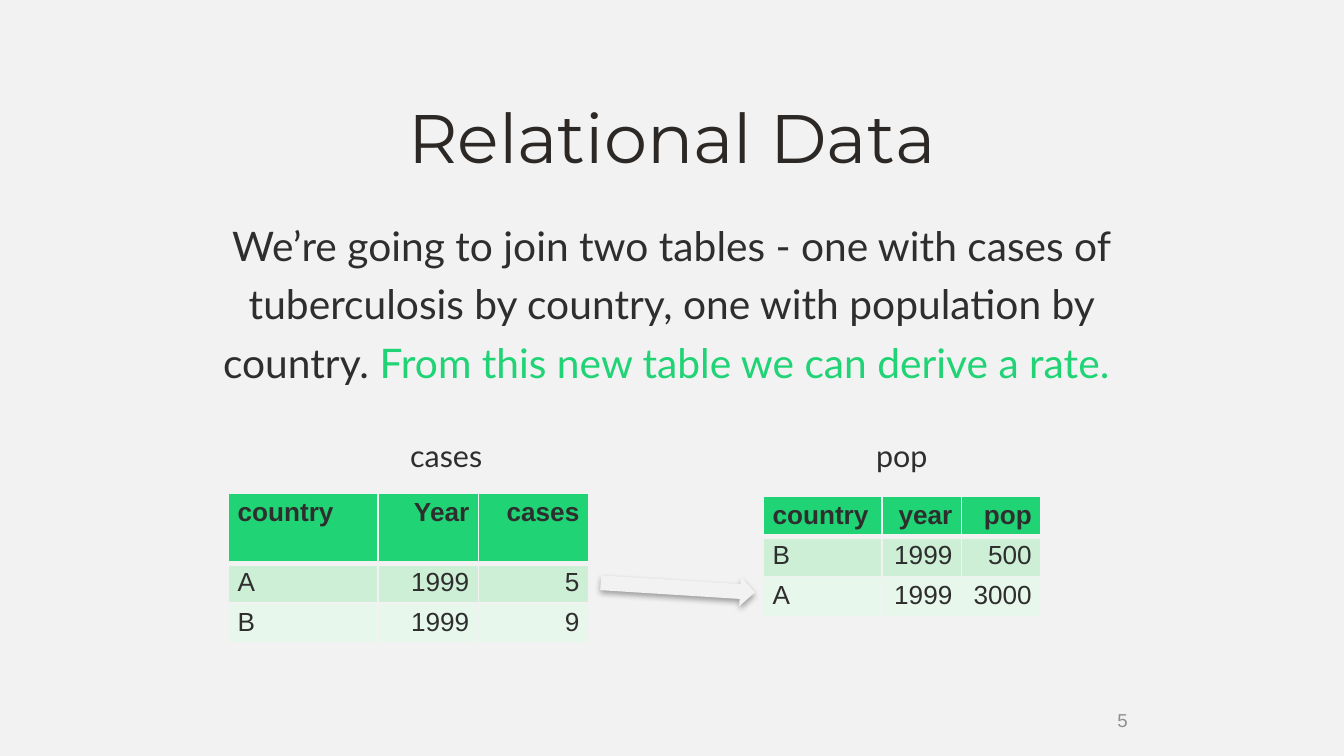
"""Build the slide that introduces joining the cases and pop tables."""
from dataclasses import dataclass

import lxml.etree
import pptx
import pptx.dml.color
import pptx.enum.shapes
import pptx.enum.text
import pptx.oxml
import pptx.oxml.ns
import pptx.util

Cm = pptx.util.Cm
Align = pptx.enum.text.PP_ALIGN
Anchor = pptx.enum.text.MSO_ANCHOR
PAPER, INK, GREEN = "F2F2F2", "2E2E2E", "20D375"
ROW_FILLS = (GREEN, "CDEFD6", "E8F7EC")


@dataclass
class Label:
    box: tuple[float, float, float, float]
    runs: list[tuple[str, str]]
    size: float
    font: str
    align: Align = Align.CENTER
    anchor: Anchor = Anchor.TOP
    inset: float = 0.25
    line_spacing: float = 1.0
    space_after: float = 0


@dataclass
class DataTable:
    left: float
    top: float
    columns: list[float]
    header_height: float
    rows: list[tuple[str, ...]]


LABELS = [
    Label((3.86, 2.11, 17.68, 1.37), [("Relational Data", "2C2825")], 36.7, "Montserrat",
          anchor=Anchor.BOTTOM, inset=0.2),
    Label((3.05, 3.86, 19.3, 9.75),
          [("We’re going to join two tables - one with cases of tuberculosis by country, "
            "one with population by country. ", INK),
           ("From this new table we can derive a rate. ", GREEN)],
          21.8, "Lato", inset=0.5, line_spacing=1.2, space_after=4),
    Label((20.19, 13.26, 1.37, 0.69), [("5", "8F8F8F")], 10, "Arial", Align.RIGHT, Anchor.MIDDLE),
    Label((6.53, 8.13, 3.81, 0.97), [("cases", INK)], 16.3, "Lato"),
    Label((15.14, 8.13, 3.81, 0.97), [("pop", INK)], 16.3, "Lato"),
]
TABLES = [
    DataTable(4.32, 9.32, [2.82, 1.9, 2.08], 1.32,
              [("country", "Year", "cases"), ("A", "1999", "5"), ("B", "1999", "9")]),
    DataTable(14.43, 9.38, [2.24, 1.5, 1.5], 0.74,
              [("country", "year", "pop"), ("B", "1999", "500"), ("A", "1999", "3000")]),
]
ROW_HEIGHT = 0.74


def rgb(value: str) -> pptx.dml.color.RGBColor:
    """Turn a hex string into a colour."""
    return pptx.dml.color.RGBColor.from_string(value)


def add_label(slide, label: Label) -> None:
    """Draw one text box."""
    frame = slide.shapes.add_textbox(*map(Cm, label.box)).text_frame
    frame.word_wrap = True
    frame.vertical_anchor = label.anchor
    frame.margin_left = frame.margin_right = Cm(label.inset)
    paragraph = frame.paragraphs[0]
    paragraph.alignment = label.align
    paragraph.line_spacing = label.line_spacing
    paragraph.space_after = pptx.util.Pt(label.space_after)
    paragraph.font.size = pptx.util.Pt(label.size)
    paragraph.font.name = label.font
    for text, color in label.runs:
        run = paragraph.add_run()
        run.text = text
        run.font.color.rgb = rgb(color)


def add_borders(cell, top: int, bottom: int) -> None:
    """Rule the four sides of a cell, widths in points."""
    sides = {"lnL": 1, "lnR": 1, "lnT": top, "lnB": bottom}
    properties = cell._tc.get_or_add_tcPr()
    for place, (side, width) in enumerate(sides.items()):
        properties.insert(place, pptx.oxml.parse_xml(
            f'<a:{side} {pptx.oxml.ns.nsdecls("a")} w="{pptx.util.Pt(width)}">'
            f'<a:solidFill><a:srgbClr val="{PAPER}"/></a:solidFill></a:{side}>'))


def add_data_table(slide, data: DataTable) -> None:
    """Draw one table with a green header and tinted rows."""
    heights = [data.header_height] + [ROW_HEIGHT] * (len(data.rows) - 1)
    table = slide.shapes.add_table(
        len(data.rows), len(data.columns), Cm(data.left), Cm(data.top),
        Cm(sum(data.columns)), Cm(sum(heights))).table
    for column, width in zip(table.columns, data.columns):
        column.width = Cm(width)
    for r, (values, height) in enumerate(zip(data.rows, heights)):
        table.rows[r].height = Cm(height)
        for c, value in enumerate(values):
            cell = table.cell(r, c)
            cell.text = value
            cell.margin_left = cell.margin_right = Cm(0.17)
            cell.margin_top = cell.margin_bottom = Cm(0.08)
            cell.fill.solid()
            cell.fill.fore_color.rgb = rgb(ROW_FILLS[r])
            add_borders(cell, 3 if r == 1 else 1, 3 if r == 0 else 1)
            paragraph = cell.text_frame.paragraphs[0]
            paragraph.alignment = Align.RIGHT if c else Align.LEFT
            paragraph.font.name = "Arial"
            paragraph.font.size = pptx.util.Pt(14)
            paragraph.font.bold = r == 0
            paragraph.font.color.rgb = rgb(INK)


def add_join_arrow(slide) -> None:
    """Draw the shadowed arrow from the cases table to the pop table."""
    arrow = slide.shapes.add_shape(pptx.enum.shapes.MSO_SHAPE.RIGHT_ARROW,
                                   Cm(11.35), Cm(10.82), Cm(2.92), Cm(0.56))
    arrow.rotation = 3.6
    arrow.fill.solid()
    arrow.fill.fore_color.rgb = rgb(PAPER)
    arrow.line.fill.background()
    arrow.shadow.inherit = False
    effects = arrow._element.spPr.find(pptx.oxml.ns.qn("a:effectLst"))
    shadow = lxml.etree.SubElement(
        effects, pptx.oxml.ns.qn("a:outerShdw"),
        blurRad="40000", dist="23000", dir="5400000", rotWithShape="0")
    color = lxml.etree.SubElement(shadow, pptx.oxml.ns.qn("a:srgbClr"), val="000000")
    lxml.etree.SubElement(color, pptx.oxml.ns.qn("a:alpha"), val="35000")


def main() -> None:
    """Build and save the slide."""
    deck = pptx.Presentation()
    deck.slide_width, deck.slide_height = Cm(25.4), Cm(14.28)
    slide = deck.slides.add_slide(deck.slide_layouts[6])
    slide.background.fill.solid()
    slide.background.fill.fore_color.rgb = rgb(PAPER)
    for label in LABELS:
        add_label(slide, label)
    for data in TABLES:
        add_data_table(slide, data)
    add_join_arrow(slide)
    deck.save("out.pptx")


main()
